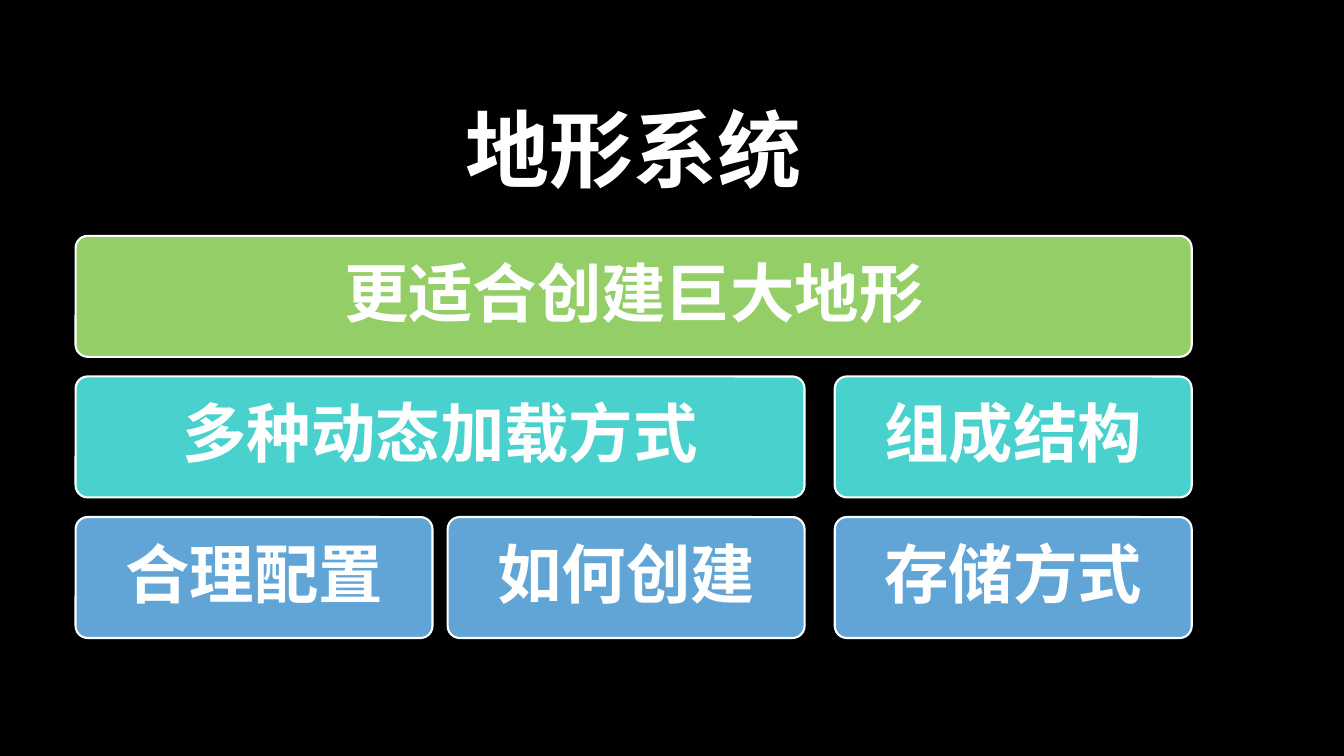
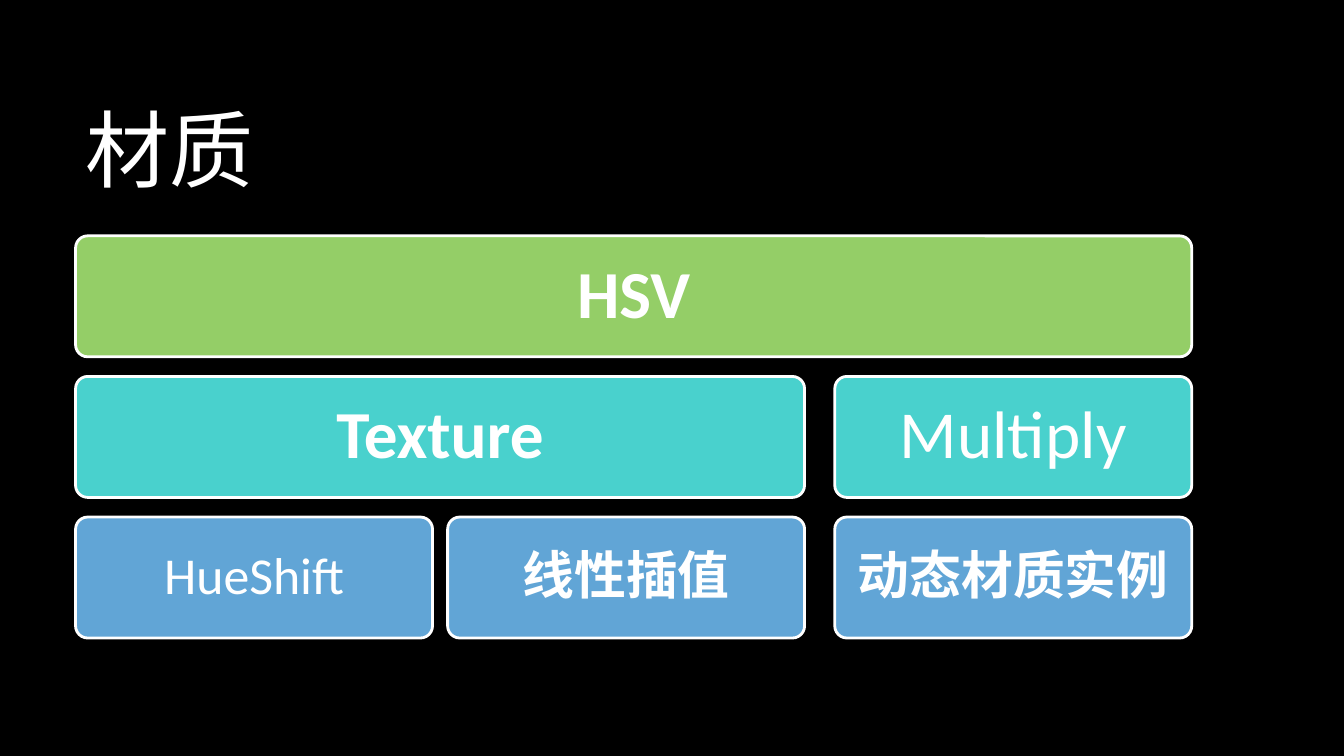
from dataclasses import dataclass

from pptx import Presentation
from pptx.dml.color import RGBColor
from pptx.enum.shapes import MSO_SHAPE
from pptx.enum.text import MSO_ANCHOR, MSO_AUTO_SIZE, PP_ALIGN
from pptx.presentation import Presentation as Deck
from pptx.slide import Slide
from pptx.text.text import TextFrame
from pptx.util import Inches, Pt

ROUNDED = MSO_SHAPE.ROUNDED_RECTANGLE
MIDDLE = MSO_ANCHOR.MIDDLE
NO_AUTOFIT = MSO_AUTO_SIZE.NONE
LEFT, CENTER = PP_ALIGN.LEFT, PP_ALIGN.CENTER

COLORS = {
    "background": "000000",
    "text": "FFFFFF",
    "outline": "FFFFFF",
    "root": "94CE67",
    "branch": "49D1CD",
    "leaf": "61A5D6",
}
FONT = "Calibri"
TITLE_SIZE = 60
TITLE_ONLY_LAYOUT = 5

GRID_LEFT, GRID_TOP, GRID_BOTTOM = 0.75, 2.34, 6.33
LEAF_WIDTH, BLOCK_HEIGHT = 3.54, 1.2
LEAF_GAP, BRANCH_GAP = 0.15, 0.3
ROW_GAP = (GRID_BOTTOM - GRID_TOP - 3 * BLOCK_HEIGHT) / 2
SECOND_COLUMN = GRID_LEFT + LEAF_WIDTH + LEAF_GAP
THIRD_COLUMN = SECOND_COLUMN + LEAF_WIDTH + BRANCH_GAP
COLUMN_LEFTS = (GRID_LEFT, SECOND_COLUMN, THIRD_COLUMN)
GRID_WIDTH = THIRD_COLUMN + LEAF_WIDTH - GRID_LEFT


@dataclass(frozen=True)
class Cell:
    level: str
    row: int
    first_column: int
    last_column: int


@dataclass(frozen=True)
class Block:
    text: str
    size: int
    bold: bool = True


@dataclass(frozen=True)
class Topic:
    title: str
    title_bold: bool
    title_alignment: PP_ALIGN
    outline_width: float
    blocks: tuple[Block, ...]


CELLS = (
    Cell("root", 0, 0, 2),
    Cell("branch", 1, 0, 1),
    Cell("branch", 1, 2, 2),
    Cell("leaf", 2, 0, 0),
    Cell("leaf", 2, 1, 1),
    Cell("leaf", 2, 2, 2),
)

TOPICS = (
    Topic("地形系统", True, CENTER, 1.5, (
        Block("更适合创建巨大地形", 46),
        Block("多种动态加载方式", 46),
        Block("组成结构", 46),
        Block("合理配置", 46),
        Block("如何创建", 46),
        Block("存储方式", 46),
    )),
    Topic("材质", False, LEFT, 2, (
        Block("HSV", 48),
        Block("Texture", 48),
        Block("Multiply", 48, bold=False),
        Block("HueShift", 37, bold=False),
        Block("线性插值", 37),
        Block("动态材质实例", 37),
    )),
)


def color(name: str) -> RGBColor:
    return RGBColor.from_string(COLORS[name])


def write_text(frame: TextFrame, text: str, size: int, bold: bool,
               alignment: PP_ALIGN, line_spacing: float = 1.0) -> None:
    frame.word_wrap = True
    frame.auto_size = NO_AUTOFIT
    frame.vertical_anchor = MIDDLE
    paragraph = frame.paragraphs[0]
    paragraph.alignment = alignment
    paragraph.line_spacing = line_spacing
    run = paragraph.add_run()
    run.text = text
    run.font.name = FONT
    run.font.size = Pt(size)
    run.font.bold = bold
    run.font.color.rgb = color("text")


def add_title(slide: Slide, topic: Topic) -> None:
    title = slide.shapes.title
    title.left, title.top = Inches(GRID_LEFT), Inches(0.67)
    title.width, title.height = Inches(GRID_WIDTH), Inches(1.59)
    write_text(title.text_frame, topic.title, TITLE_SIZE, topic.title_bold,
               topic.title_alignment)


def add_block(slide: Slide, cell: Cell, block: Block, outline_width: float) -> None:
    left = COLUMN_LEFTS[cell.first_column]
    right = COLUMN_LEFTS[cell.last_column] + LEAF_WIDTH
    top = GRID_TOP + cell.row * (BLOCK_HEIGHT + ROW_GAP)
    shape = slide.shapes.add_shape(ROUNDED, Inches(left), Inches(top),
                                   Inches(right - left), Inches(BLOCK_HEIGHT))
    shape.adjustments[0] = 0.1
    shape.shadow.inherit = False
    shape.fill.solid()
    shape.fill.fore_color.rgb = color(cell.level)
    shape.line.color.rgb = color("outline")
    shape.line.width = Pt(outline_width)
    frame = shape.text_frame
    frame.margin_left = frame.margin_right = Inches(0.15)
    frame.margin_top = frame.margin_bottom = Inches(0.15)
    write_text(frame, block.text, block.size, block.bold, CENTER, 0.9)


def add_topic(presentation: Deck, topic: Topic) -> None:
    slide = presentation.slides.add_slide(presentation.slide_layouts[TITLE_ONLY_LAYOUT])
    add_title(slide, topic)
    for cell, block in zip(CELLS, topic.blocks):
        add_block(slide, cell, block, topic.outline_width)


def main() -> None:
    presentation = Presentation()
    presentation.slide_width = Inches(13.33)
    presentation.slide_height = Inches(7.5)
    background = presentation.slide_master.background.fill
    background.solid()
    background.fore_color.rgb = color("background")
    for topic in TOPICS:
        add_topic(presentation, topic)
    presentation.save("out.pptx")


if __name__ == "__main__":
    main()
